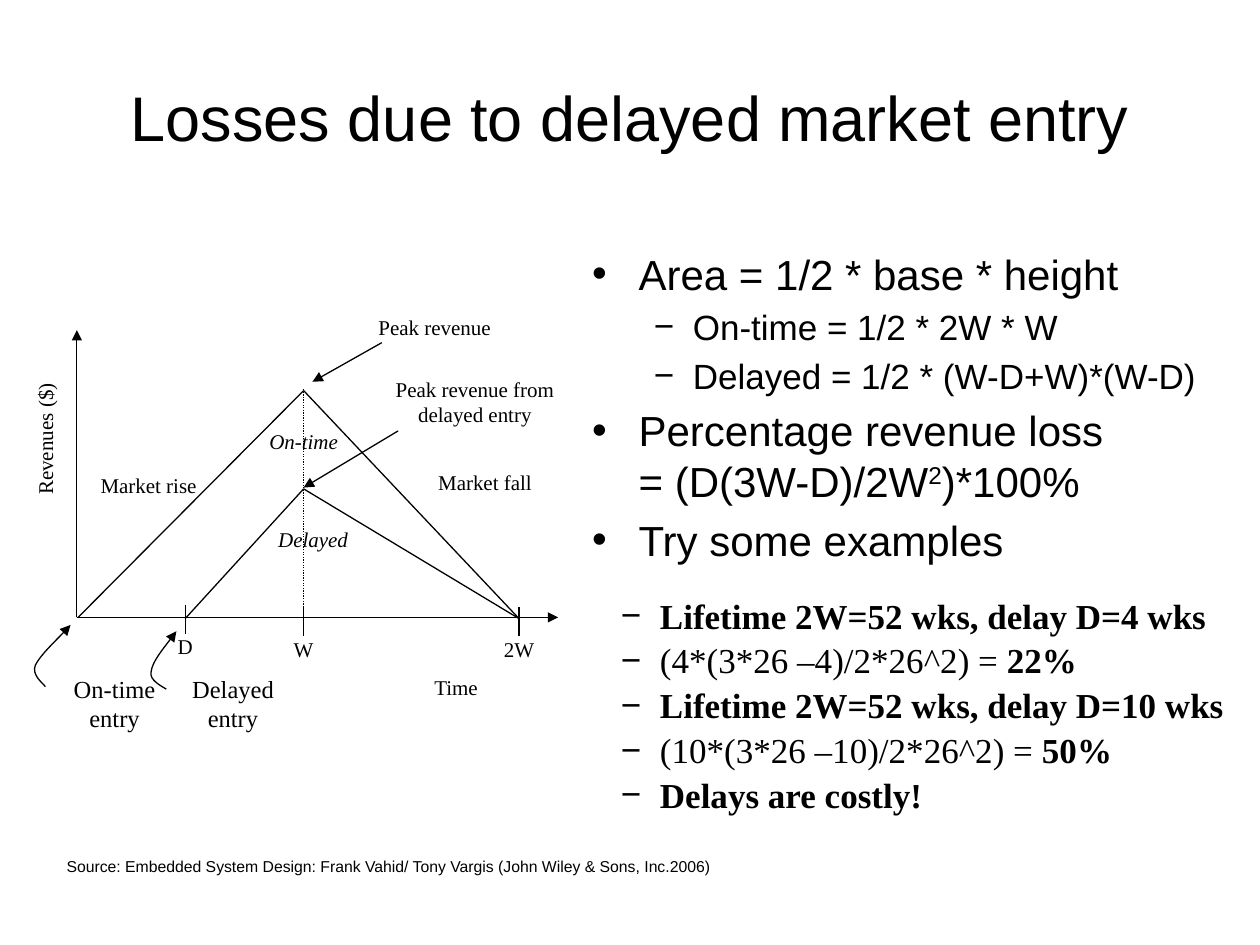
from typing import NamedTuple

from lxml.etree import SubElement as Sub
from pptx import Presentation
from pptx.dml.color import RGBColor
from pptx.enum.dml import MSO_LINE as Dash
from pptx.enum.shapes import MSO_CONNECTOR as Conn
from pptx.enum.text import MSO_ANCHOR as Anchor, PP_ALIGN as Align
from pptx.oxml.ns import qn
from pptx.util import Pt

PX = 9144  # EMU in one px, at 100 px to the inch
INK = "000000"
SANS, SERIF = "Arial", "Times New Roman"


class Label(NamedTuple):
    text: str
    x: int
    y: int
    w: int
    h: int
    size: int = 12
    italic: bool = False
    turn: int = 0


class Line(NamedTuple):
    x1: int
    y1: int
    x2: int
    y2: int
    arrow: bool = False
    dotted: bool = False


class Tick(NamedTuple):
    text: str
    x: int
    top: int


class Bit(NamedTuple):
    text: str
    bold: bool = False
    base: int = 0


class Item(NamedTuple):
    bits: list[Bit]
    level: int = 1
    tight: float = 1.0


def color(code: str) -> RGBColor:
    return RGBColor.from_string(code)


def style(font, name: str, size: int, bold=False, italic=False) -> None:
    font.name, font.size = name, Pt(size)
    font.bold, font.italic = bold, italic
    font.color.rgb = color(INK)


def add_box(slide, x: int, y: int, w: int, h: int, pad: bool = True):
    box = slide.shapes.add_textbox(x * PX, y * PX, w * PX, h * PX)
    frame = box.text_frame
    frame.word_wrap = True
    if not pad:
        frame.margin_left = frame.margin_right = 0
        frame.margin_top = frame.margin_bottom = 0
    return box


def add_label(slide, label: Label):
    box = add_box(slide, label.x, label.y, label.w, label.h, pad=False)
    box.rotation = label.turn
    box.text_frame.text = label.text
    for para in box.text_frame.paragraphs:
        para.alignment = Align.CENTER
        style(para.runs[0].font, SERIF, label.size, italic=label.italic)
    return box


def set_line(line, arrow: bool = False, dotted: bool = False) -> None:
    line.width = Pt(0.75)
    line.color.rgb = color(INK)
    if dotted:
        line.dash_style = Dash.ROUND_DOT
    if arrow:
        Sub(line._get_or_add_ln(), qn("a:tailEnd"), type="triangle")


def add_line(slide, line: Line):
    ends = (v * PX for v in line[:4])
    conn = slide.shapes.add_connector(Conn.STRAIGHT, *ends)
    set_line(conn.line, line.arrow, line.dotted)
    Sub(conn.element.spPr, qn("a:effectLst"))
    return conn


def add_tick(slide, tick: Tick) -> None:
    foot = tick.top + 23
    box = add_label(slide, Label(tick.text, tick.x - 15, foot, 30, 28))
    conn = add_line(slide, Line(tick.x, tick.top, tick.x, foot))
    conn.end_connect(box, 0)


def add_curve(slide, points: list[tuple[int, int]]) -> None:
    """Draw cubic curves: a start, then three control points for each."""
    form = slide.shapes.build_freeform(*points[0], scale=PX)
    form.add_line_segments(points[1:], close=False)
    shape = form.convert_to_shape()
    legs = list(shape.element.iter(qn("a:lnTo")))
    for i in range(0, len(legs), 3):
        cubic = Sub(legs[i].getparent(), qn("a:cubicBezTo"))
        for leg in legs[i:i + 3]:
            cubic.append(leg[0])
            leg.getparent().remove(leg)
    shape.shadow.inherit = False
    shape.fill.background()
    set_line(shape.line, arrow=True)


def set_bullet(para, level: int) -> None:
    left, hang, char = [(38, 37, "•"), (81, 31, "−")][level]
    para.level = level
    props = para._p.get_or_add_pPr()
    props.set("marL", str(left * PX))
    props.set("indent", str(-hang * PX))
    Sub(Sub(props, qn("a:buClr")), qn("a:srgbClr"), val=INK)
    Sub(props, qn("a:buFont"), typeface=SANS)
    Sub(props, qn("a:buChar"), char=char)


def add_list(slide, spot: tuple, items: list[Item], name: str) -> None:
    frame = add_box(slide, *spot).text_frame
    for i, item in enumerate(items):
        para = frame.add_paragraph() if i else frame.paragraphs[0]
        set_bullet(para, item.level)
        size = (24, 20)[item.level]
        para.space_before = Pt(size / 5 if i else 0)
        para.line_spacing = item.tight
        para.text = item.bits[0].text
        for bit in item.bits[1:]:
            para.add_run().text = bit.text
        for run in para.runs:
            style(run.font, name, size)
        # Runs pair with bits from the end, as a line break splits the first
        for run, bit in zip(para.runs[::-1], item.bits[::-1]):
            run.font.bold = bit.bold
            if bit.base:
                run.font._element.set("baseline", str(bit.base * 1000))


LINES = [
    Line(61, 490, 443, 490, arrow=True),  # time axis
    Line(61, 490, 61, 262, arrow=True),  # revenue axis
    Line(241, 490, 241, 309, dotted=True),
    Line(62, 490, 241, 310),  # on time
    Line(241, 310, 412, 491),
    Line(147, 491, 241, 388),  # delayed
    Line(241, 388, 412, 491),
    Line(303, 272, 248, 303, arrow=True),  # pointers to the peaks
    Line(316, 342, 241, 387, arrow=True),
]
TICKS = [Tick("D", 147, 480), Tick("W", 241, 482), Tick("2W", 412, 482)]
LABELS = [
    Label("Peak revenue", 263, 250, 164, 28),
    Label("Peak revenue from delayed entry", 295, 299, 164, 54),
    Label("Market rise", 75, 375, 86, 55),
    Label("Market fall", 342, 373, 86, 55),
    Label("Time", 280, 535, 164, 31),
    Label("On-time", 202, 340, 78, 31, italic=True),
    Label("Delayed", 194, 418, 109, 31, italic=True),
    Label("Revenues ($)", -41, 333, 164, 31, turn=270),
    Label("On-time\nentry", 51, 535, 80, 50, size=14),
    Label("Delayed\nentry", 145, 535, 80, 50, size=14),
]
CURVES = [
    [(36, 545), (34, 542), (25, 536), (28, 528), (32, 520), (50, 503), (56, 496)],
    [(132, 547), (129, 545), (118, 540), (120, 533), (121, 525), (135, 508), (140, 501)],
]
RULES = [
    Item([Bit("Area = 1/2 * base * height")], 0),
    Item([Bit("On-time = 1/2 * 2W * W")]),
    Item([Bit("Delayed = 1/2 * (W-D+W)*(W-D)")]),
    Item([Bit("Percentage revenue loss\v= (D(3W-D)/2W"), Bit("2", base=30),
          Bit(")*100%")], 0),
    Item([Bit("Try some examples")], 0),
]
CASES = [
    Item([Bit("Lifetime 2W=52 wks, delay D=4 wks", True)]),
    Item([Bit("(4*(3*26 –4)/2*26^2) = "), Bit("22%", True)], tight=0.9),
    Item([Bit("Lifetime 2W=52 wks, delay D=10 wks", True)], tight=0.9),
    Item([Bit("(10*(3*26 –10)/2*26^2) = "), Bit("50%", True)], tight=0.9),
    Item([Bit("Delays are costly!", True)], tight=0.9),
]


def main() -> None:
    deck = Presentation()
    deck.slide_width, deck.slide_height = 1000 * PX, 750 * PX
    slide = deck.slides.add_slide(deck.slide_layouts[6])
    # Title
    frame = add_box(slide, 50, 30, 900, 125).text_frame
    frame.vertical_anchor = Anchor.MIDDLE
    frame.text = "Losses due to delayed market entry"
    frame.paragraphs[0].alignment = Align.CENTER
    style(frame.paragraphs[0].runs[0].font, SANS, 36)
    # Revenue diagram
    for line in LINES:
        add_line(slide, line)
    for tick in TICKS:
        add_tick(slide, tick)
    for label in LABELS:
        add_label(slide, label)
    for points in CURVES:
        add_curve(slide, points)
    # Formulas and worked cases
    add_list(slide, (459, 192, 541, 241), RULES, SANS)
    add_list(slide, (433, 467, 567, 208), CASES, SERIF)
    # Source line
    frame = add_box(slide, 43, 675, 533, 25).text_frame
    frame.word_wrap = False
    frame.text = ("Source: Embedded System Design: Frank Vahid/ Tony Vargis "
                  "(John Wiley & Sons, Inc.2006)")
    style(frame.paragraphs[0].runs[0].font, SANS, 9)
    deck.save("out.pptx")


if __name__ == "__main__":
    main()
